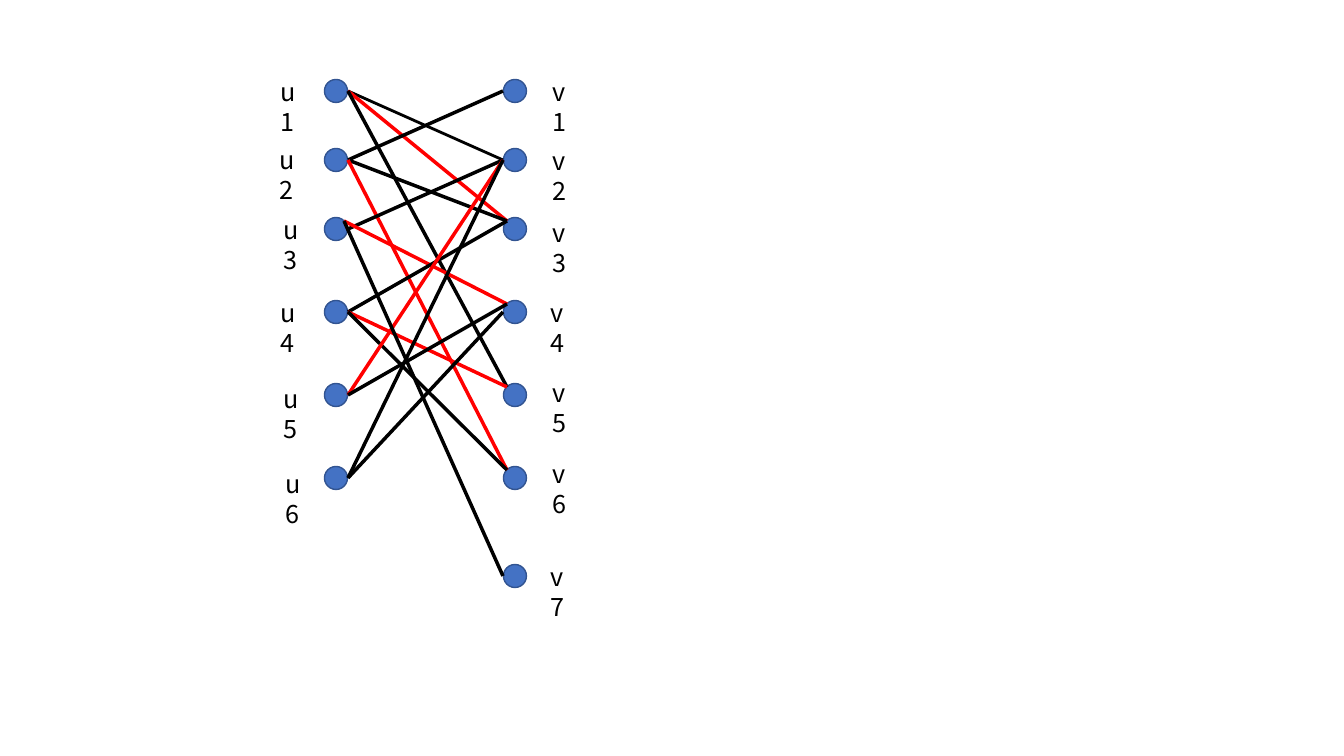
from pptx import Presentation
from pptx.dml.color import RGBColor
from pptx.enum.shapes import MSO_CONNECTOR, MSO_SHAPE
from pptx.oxml.xmlchemy import OxmlElement
from pptx.util import Emu, Pt

THEME = {
    "font": "Noto Sans CJK SC",
    "label_size": 18,
    "line_height": 21.6,
    "node": "4472C4",
    "outline": "325491",
    "black": "000000",
    "red": "FF0000",
}

ROWS = [91, 160, 229, 312, 395, 478, 576]
LABELS = {
    "u": [(271, 71), (270, 139), (274, 209), (271, 292), (274, 378), (276, 463)],
    "v": [(543, 71), (543, 140), (543, 212), (541, 292), (543, 372), (543, 453), (541, 556)],
}
COLUMNS = {"u": 336, "v": 515}
LABEL_WIDTHS = {"u": 47, "v": 45}
LABEL_HEIGHT = 40
DIAMETER = 23

EDGES = [
    (1, "side", 2, "side", "black", 2),
    (1, "side", 3, "upper", "red", 2.5),
    (1, "side", 5, "upper", "black", 2.5),
    (2, "side", 1, "side", "black", 2.5),
    (2, "side", 3, "upper", "black", 2.5),
    (2, "side", 6, "upper", "red", 2.5),
    (3, "side", 2, "side", "black", 2.5),
    (3, "upper", 4, "upper", "red", 2.5),
    (4, "side", 3, "upper", "black", 2.5),
    (4, "side", 5, "upper", "red", 2.5),
    (4, "side", 6, "upper", "black", 2.5),
    (5, "side", 2, "side", "red", 2.5),
    (5, "side", 4, "upper", "black", 2.5),
    (6, "side", 2, "side", "black", 2.5),
    (6, "side", 4, "side", "black", 2.5),
    (3, "upper", 7, "side", "black", 2.5),
]
ANCHORS = {"side": (12, 0), "upper": (8, -8)}
TOWARDS_CENTRE = {"u": 1, "v": -1}


def px(value):
    return Emu(round(value * 914400 / 100.8))


def color(name):
    return RGBColor.from_string(THEME[name])


def add_text(slide, text, *, left, top, width, height, size, fill):
    shape = slide.shapes.add_textbox(px(left), px(top), px(width), px(height))
    shape.text_frame.word_wrap = True
    paragraph = shape.text_frame.paragraphs[0]
    paragraph.line_spacing = Pt(THEME["line_height"])
    run = paragraph.add_run()
    run.text = text
    run.font.name = THEME["font"]
    run.font.size = Pt(size)
    run.font.color.rgb = color(fill)


def add_node(slide, side, row):
    left = COLUMNS[side] - DIAMETER / 2
    top = ROWS[row] - DIAMETER / 2
    shape = slide.shapes.add_shape(
        MSO_SHAPE.OVAL, px(left), px(top), px(DIAMETER), px(DIAMETER)
    )
    shape.shadow.inherit = False
    shape.fill.solid()
    shape.fill.fore_color.rgb = color("node")
    shape.line.color.rgb = color("outline")
    shape.line.width = Pt(1)


def anchor_point(side, number, anchor):
    across, down = ANCHORS[anchor]
    x = COLUMNS[side] + TOWARDS_CENTRE[side] * across
    return px(x), px(ROWS[number - 1] + down)


def add_edge(slide, u, u_anchor, v, v_anchor, stroke, weight):
    start = anchor_point("u", u, u_anchor)
    end = anchor_point("v", v, v_anchor)
    connector = slide.shapes.add_connector(MSO_CONNECTOR.STRAIGHT, *start, *end)
    connector.line.color.rgb = color(stroke)
    connector.line.width = Pt(weight)
    connector._element.spPr.append(OxmlElement("a:effectLst"))


presentation = Presentation()
presentation.slide_width = px(1344)
presentation.slide_height = px(756)
slide = presentation.slides.add_slide(presentation.slide_layouts[6])

for side, positions in LABELS.items():
    for row, (left, top) in enumerate(positions):
        add_node(slide, side, row)
        add_text(
            slide,
            f"{side}{row + 1}",
            left=left,
            top=top,
            width=LABEL_WIDTHS[side],
            height=LABEL_HEIGHT,
            size=THEME["label_size"],
            fill="black",
        )

for edge in EDGES:
    add_edge(slide, *edge)

presentation.save("out.pptx")
